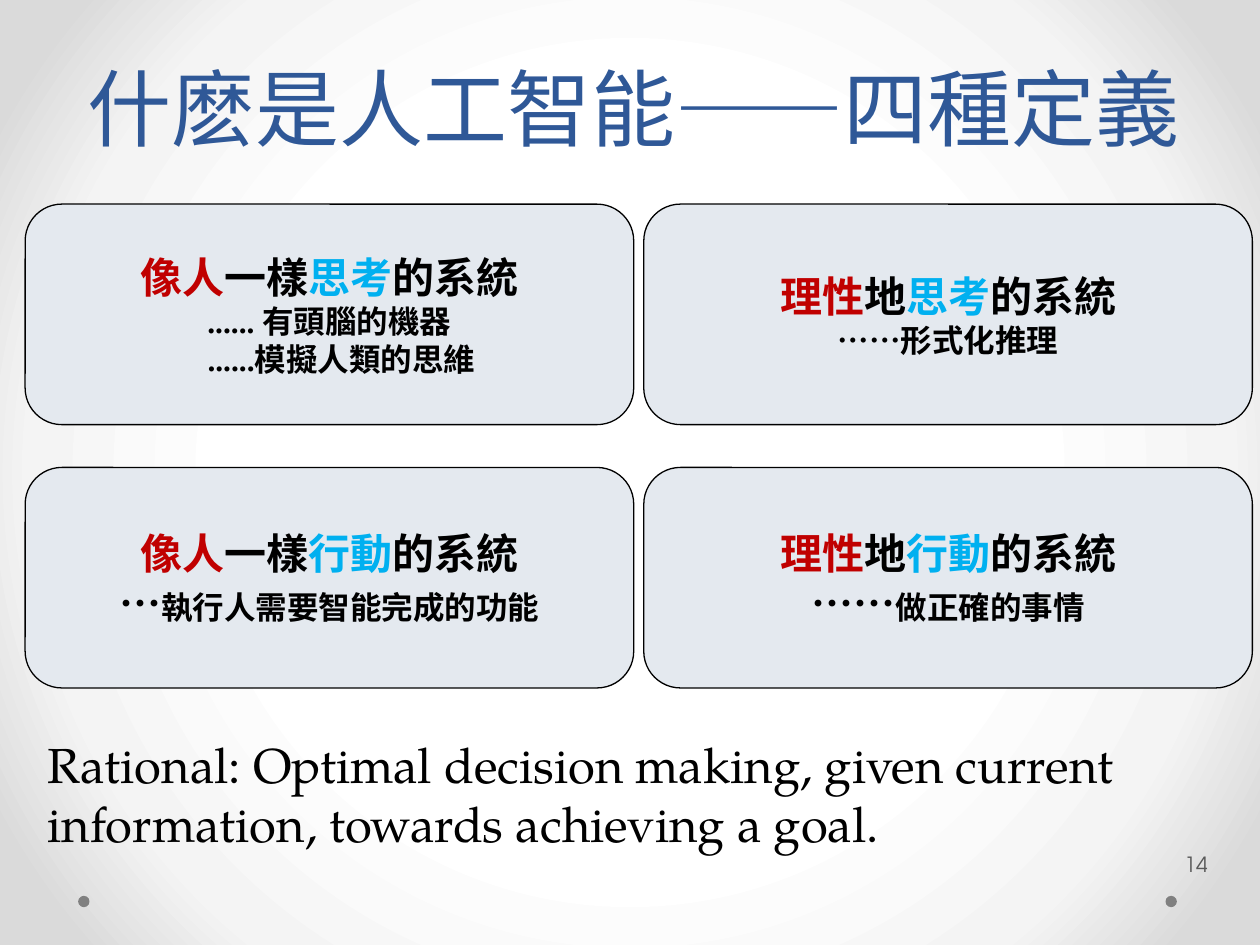
import pptx
import pptx.util
import pptx.oxml
import pptx.oxml.ns
import pptx.dml.color
import pptx.enum.text
import pptx.enum.shapes

Inches = pptx.util.Inches
Pt = pptx.util.Pt
ALIGN = pptx.enum.text.PP_ALIGN
ANCHOR = pptx.enum.text.MSO_ANCHOR
SHAPE = pptx.enum.shapes.MSO_SHAPE

SERIF, SANS, TIMES = "TeX Gyre Pagella", "TeX Gyre Adventor", "Times New Roman"
BLACK, RED, BLUE = "000000", "C00000", "00B0F0"
STOPS = [(50, "FFFFFF"), (76, "F4F4F4"), (92, "DADADA")]


def color(code):
    return pptx.dml.color.RGBColor.from_string(code)


def paint(slide):
    """Fill the background with a round gradient."""
    slide.background.fill.gradient()
    old = next(slide.element.iter(pptx.oxml.ns.qn("a:gradFill")))
    stops = "".join(
        f'<a:gs pos="{pos * 1000}"><a:srgbClr val="{code}"/></a:gs>'
        for pos, code in STOPS)
    new = pptx.oxml.parse_xml(
        f'<a:gradFill {pptx.oxml.ns.nsdecls("a")} rotWithShape="1">'
        f'<a:gsLst>{stops}</a:gsLst><a:path path="circle">'
        '<a:fillToRect l="50000" t="50000" r="50000" b="50000"/>'
        '</a:path></a:gradFill>')
    old.getparent().replace(old, new)


def add_run(para, text, size, font, code, bold=False):
    run = para.add_run()
    run.text = text
    run.font.size = Pt(size)
    run.font.name = font
    run.font.bold = bold
    run.font.color.rgb = color(code)


def add_text(slide, area, text, size, font, code):
    """Add a wrapped text box and return its frame."""
    frame = slide.shapes.add_textbox(*map(Inches, area)).text_frame
    frame.word_wrap = True
    add_run(frame.paragraphs[0], text, size, font, code)
    return frame


def add_shape(slide, kind, area, code):
    shape = slide.shapes.add_shape(kind, *map(Inches, area))
    shape.shadow.inherit = False
    shape.fill.solid()
    shape.fill.fore_color.rgb = color(code)
    return shape


def add_dot(slide, left):
    dot = add_shape(slide, SHAPE.OVAL, (left, 7.11, 0.09, 0.09), "808080")
    dot.line.fill.background()


def add_card(slide, left, top, head, notes):
    """Add a rounded card: a coloured heading over lines of (indent, runs)."""
    card = add_shape(slide, SHAPE.FLOWCHART_ALTERNATE_PROCESS,
                     (left, top, 4.83, 1.75), "E4E9EF")
    card.line.color.rgb = color(BLACK)
    card.line.width = Pt(0.75)
    frame = card.text_frame
    frame.word_wrap = False
    frame.vertical_anchor = ANCHOR.MIDDLE
    para = frame.paragraphs[0]
    para.alignment = ALIGN.CENTER
    for text, code in zip(head, (RED, BLACK, BLUE, BLACK)):
        add_run(para, text, 24, TIMES, code, True)
    for indent, runs in notes:
        para = frame.add_paragraph()
        para.alignment = ALIGN.CENTER
        if indent:
            para._p.get_or_add_pPr().set("marL", str(Inches(indent)))
        for text, size in runs:
            add_run(para, text, size, TIMES, BLACK, True)


def main():
    deck = pptx.Presentation()
    deck.slide_width, deck.slide_height = Inches(10), Inches(7.5)
    slide = deck.slides.add_slide(deck.slide_layouts[6])

    # Background, corner dots and page number
    paint(slide)
    for left in (9.25, 0.62):
        add_dot(slide, left)
    page = add_text(slide, (9.37, 6.66, 0.61, 0.4), "14", 12, SANS, "595959")
    page.margin_left = Inches(0.03)
    page.margin_right = Inches(0.05)
    page.vertical_anchor = ANCHOR.MIDDLE

    # Title
    title = add_text(slide, (0.53, -0.03, 9, 1.75),
                     "什麽是人工智能——四種定義", 48, SERIF, "2F5897")
    title.vertical_anchor = ANCHOR.MIDDLE
    title.paragraphs[0].alignment = ALIGN.CENTER
    title.paragraphs[0].line_spacing = Pt(58)

    # Four definitions: human or rational across, thought or action down
    kinds = [("像人", "一樣"), ("理性", "地")]
    verbs = ["思考", "行動"]
    notes = [
        [[(0, [("...... 有頭腦的機器", 18)]),
          (0.19, [("......模擬人類的思維", 18)])],
         [(0, [("……形式化推理", 18)])]],
        [[(0, [("…", 24), ("執行人需要智能完成的功能", 18)])],
         [(0, [("……", 24), ("做正確的事情", 18)])]],
    ]
    for row, verb in enumerate(verbs):
        for col, (who, how) in enumerate(kinds):
            add_card(slide, 0.2 + 4.91 * col, 1.62 + 2.09 * row,
                     (who, how, verb, "的系統"), notes[row][col])

    # Meaning of rational
    note = add_text(slide, (0.28, 5.78, 9.21, 1.04),
                    "Rational: Optimal decision making, given current "
                    "information, towards achieving a goal.",
                    28, SERIF, BLACK)
    note.auto_size = pptx.enum.text.MSO_AUTO_SIZE.SHAPE_TO_FIT_TEXT

    deck.save("out.pptx")


if __name__ == "__main__":
    main()
